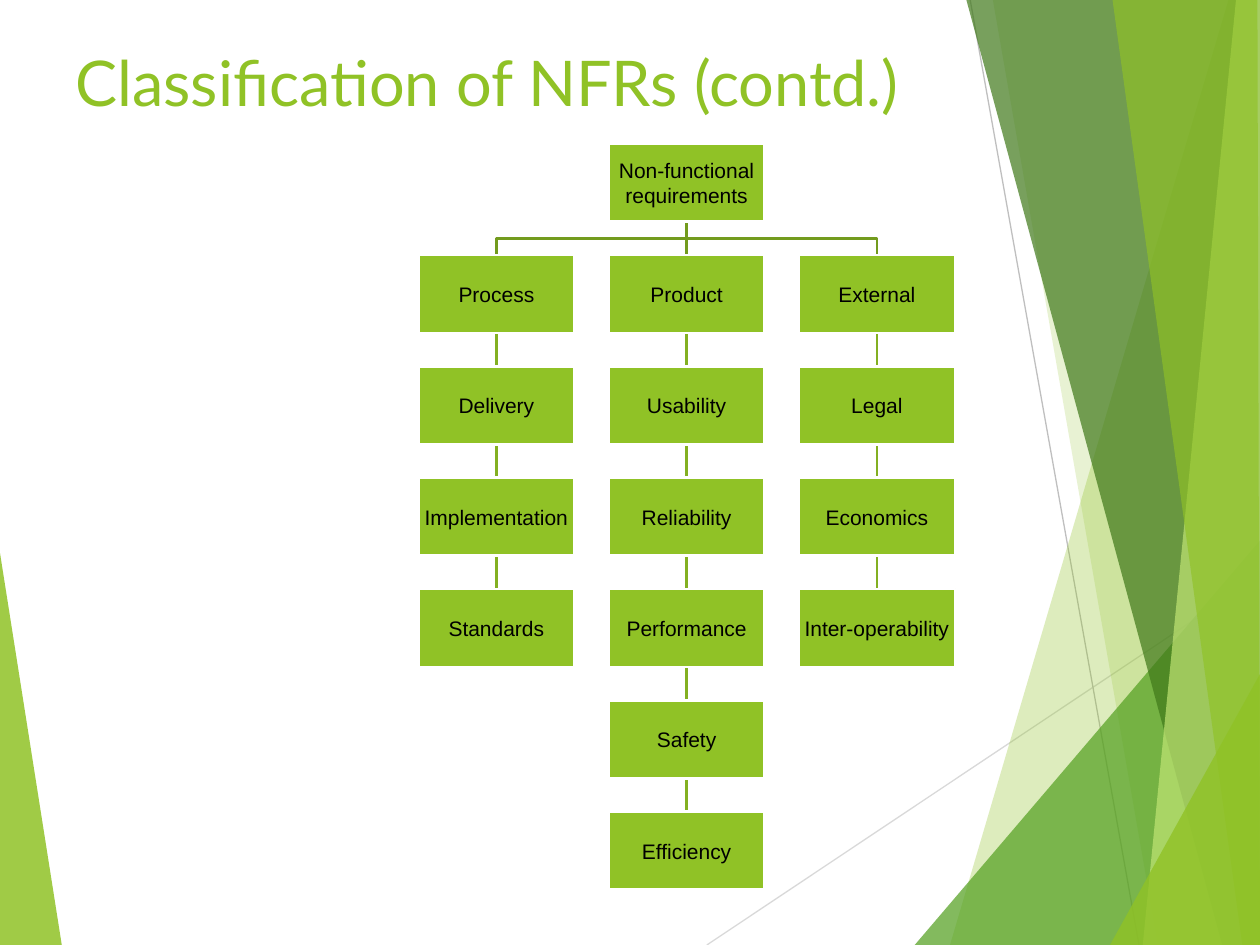
from lxml import etree
from pptx import Presentation
from pptx.dml.color import RGBColor
from pptx.enum.shapes import MSO_CONNECTOR, MSO_SHAPE
from pptx.enum.text import MSO_ANCHOR, PP_ALIGN
from pptx.oxml.ns import qn
from pptx.util import Inches, Pt

STRAIGHT = MSO_CONNECTOR.STRAIGHT
RECT = MSO_SHAPE.RECTANGLE
MIDDLE, TOP = MSO_ANCHOR.MIDDLE, MSO_ANCHOR.TOP
CENTER, LEFT = PP_ALIGN.CENTER, PP_ALIGN.LEFT

SLIDE_W, SLIDE_H = Inches(10), Inches(7.5)
COLORS = {
    "lime": "90C226", "green": "54A021", "forest": "3F7819", "pale": "C0E474",
    "trunk": "739B1E", "branch": "83B022", "white": "FFFFFF", "black": "000000",
    "light_gray": "D9D9D9", "gray": "BFBFBF",
}

# All positions are percentages of the slide's width and height.
LEFT_FACET = ("lime", 85, [(0, 58.53), (4.9, 100), (0, 100)])
RAYS = [("light_gray", (56.1, 100), (100, 60.93)), ("gray", (77, 0), (90.4, 100))]
RIGHT_FACETS = [
    ("lime", 30, [(97.5, 0), (75.4, 100), (100, 100), (100, 0)]),
    ("lime", 20, [(78.8, 0), (91.9, 100), (100, 100), (100, 0)]),
    ("green", 72, [(72.6, 100), (100, 57.2), (100, 100)]),
    ("forest", 70, [(76.7, 0), (97, 100), (100, 100), (100, 0)]),
    ("pale", 70, [(98.1, 0), (90.7, 100), (100, 100), (100, 0)]),
    ("lime", 65, [(88.3, 0), (98.6, 100), (100, 100), (99.8, 0)]),
    ("lime", 80, [(88.1, 100), (100, 71.33), (100, 100)]),
]

GRID_LEFT, GRID_TOP = 33.2, 15.2
COL_STEP, ROW_STEP = 15.1, 11.78
NODE_W, NODE_H = 12.4, 8.27
ROOT_COL = 1
ROOT = "Non-functional\vrequirements"
BRANCHES = [
    ["Process", "Delivery", "Implementation", "Standards"],
    ["Product", "Usability", "Reliability", "Performance", "Safety", "Efficiency"],
    ["External", "Legal", "Economics", "Inter-operability"],
]


def px(share):
    return round(SLIDE_W * share / 100)


def py(share):
    return round(SLIDE_H * share / 100)


def rgb(name):
    return RGBColor.from_string(COLORS[name])


def node_corner(col, row):
    return GRID_LEFT + col * COL_STEP, GRID_TOP + row * ROW_STEP


def add_outline(s, points, close):
    emu = [(px(x), py(y)) for x, y in points]
    builder = s.shapes.build_freeform(*emu[0])
    builder.add_line_segments(emu[1:], close=close)
    sp = builder.convert_to_shape()
    sp.shadow.inherit = False
    return sp


def add_facet(s, color, opacity, points):
    sp = add_outline(s, points, True)
    sp.fill.solid()
    sp.fill.fore_color.rgb = rgb(color)
    sp.line.fill.background()
    clr = sp.fill._xPr.find(qn("a:solidFill"))[0]
    etree.SubElement(clr, qn("a:alpha")).set("val", str(opacity * 1000))


def add_line(s, color, start, end, width):
    line = s.shapes.add_connector(
        STRAIGHT, px(start[0]), py(start[1]), px(end[0]), py(end[1]))
    line.line.color.rgb = rgb(color)
    line.line.width = Pt(width)
    etree.SubElement(line._element.spPr, qn("a:effectLst"))


def add_trunk(s, col):
    """Join the root to the head of a branch, with a bend if it is to the side."""
    root_x, root_y = node_corner(ROOT_COL, 0)
    x, y = node_corner(col, 1)
    start = (root_x + NODE_W / 2, root_y + NODE_H)
    end = (x + NODE_W / 2, y)
    if col == ROOT_COL:
        add_line(s, "trunk", start, end, 1.5)
        return
    bend = (start[1] + end[1]) / 2
    sp = add_outline(s, [start, (start[0], bend), (end[0], bend), end], False)
    sp.fill.background()
    sp.line.color.rgb = rgb("trunk")
    sp.line.width = Pt(1.5)


def add_link(s, col, row):
    """Join a node to the one below it."""
    x, y = node_corner(col, row)
    mid = x + NODE_W / 2
    add_line(s, "branch", (mid, y + NODE_H), (mid, y + ROW_STEP), 1.5)


def set_text(sp, text, font, size, color, align, anchor):
    tf = sp.text_frame
    tf.word_wrap = True
    tf.vertical_anchor = anchor
    tf.text = text
    p = tf.paragraphs[0]
    p.alignment = align
    for r in p.runs:
        r.font.name = font
        r.font.size = Pt(size)
        r.font.color.rgb = rgb(color)


def add_node(s, text, col, row):
    x, y = node_corner(col, row)
    sp = s.shapes.add_shape(RECT, px(x), py(y), px(NODE_W), py(NODE_H))
    sp.shadow.inherit = False
    sp.fill.solid()
    sp.fill.fore_color.rgb = rgb("lime")
    sp.line.color.rgb = rgb("white")
    sp.line.width = Pt(1.5)
    tf = sp.text_frame
    tf.margin_left = tf.margin_right = tf.margin_top = tf.margin_bottom = Inches(0.01)
    set_text(sp, text, "Arial", 12, "black", CENTER, MIDDLE)


def add_title(s, text):
    sp = s.shapes.add_textbox(px(5), py(4), px(90), py(14.93))
    set_text(sp, text, "Lato", 36, "lime", LEFT, TOP)


def add_background(s):
    add_facet(s, *LEFT_FACET)
    for color, start, end in RAYS:
        add_line(s, color, start, end, 0.75)
    for facet in RIGHT_FACETS:
        add_facet(s, *facet)


def add_tree(s):
    for col, branch in enumerate(BRANCHES):
        add_trunk(s, col)
        for row in range(1, len(branch)):
            add_link(s, col, row)
    add_node(s, ROOT, ROOT_COL, 0)
    for col, branch in enumerate(BRANCHES):
        for row, text in enumerate(branch, start=1):
            add_node(s, text, col, row)


def main():
    prs = Presentation()
    prs.slide_width, prs.slide_height = SLIDE_W, SLIDE_H
    s = prs.slides.add_slide(prs.slide_layouts[6])
    add_background(s)
    add_title(s, "Classification of NFRs (contd.)")
    add_tree(s)
    prs.save("out.pptx")


if __name__ == "__main__":
    main()
